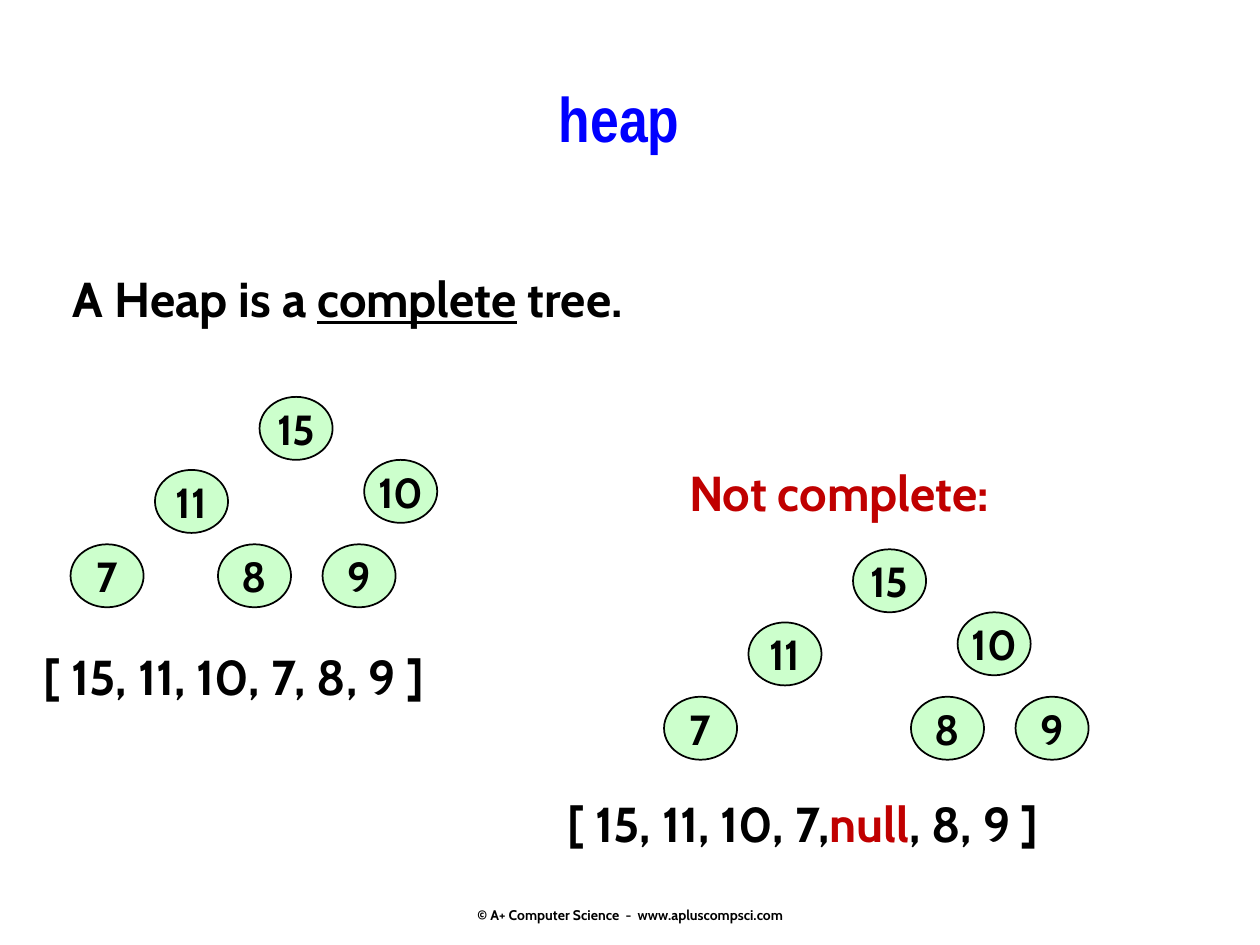
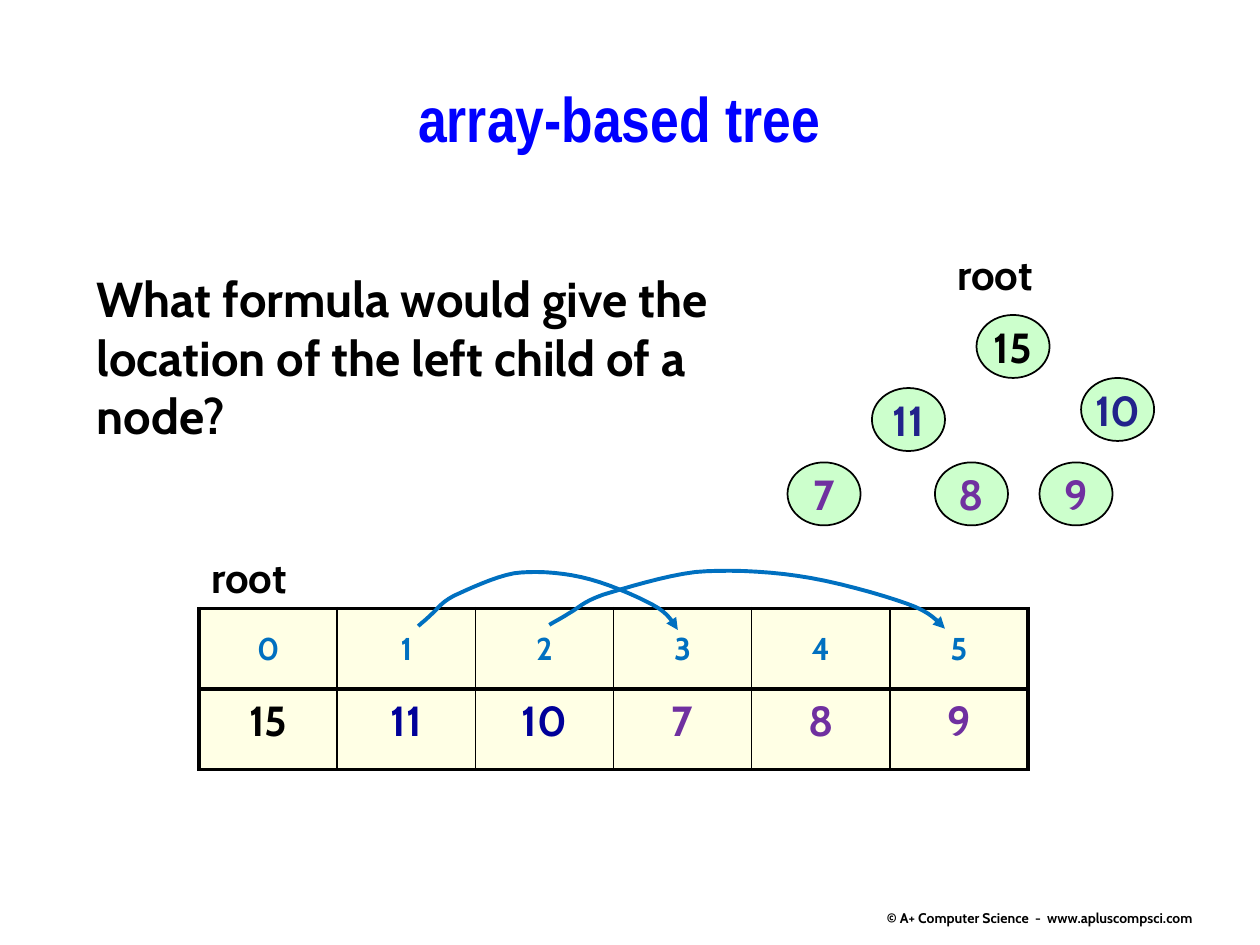
from lxml.etree import SubElement
from pptx import Presentation
from pptx.dml.color import RGBColor
from pptx.enum.shapes import MSO_SHAPE
from pptx.enum.text import MSO_ANCHOR, PP_ALIGN
from pptx.oxml import parse_xml
from pptx.oxml.ns import nsdecls, qn
from pptx.util import Inches, Pt

BLACK = RGBColor(0x00, 0x00, 0x00)
TITLE_BLUE = RGBColor(0x00, 0x00, 0xFF)
RED = RGBColor(0xC0, 0x00, 0x00)
NODE_GREEN = RGBColor(0xCC, 0xFF, 0xCC)
NODE_NAVY = RGBColor(0x22, 0x22, 0x8B)
CELL_NAVY = RGBColor(0x00, 0x00, 0x99)
PURPLE = RGBColor(0x70, 0x30, 0xA0)
INDEX_BLUE = RGBColor(0x00, 0x70, 0xC0)
CELL_CREAM = RGBColor(0xFF, 0xFF, 0xCC)

TITLE_FONT = "Arial Narrow"
BODY_FONT = "Cabin"
FOOTER = "© A+ Computer Science  -  www.apluscompsci.com"
THICK, THIN = 2.25, 1

LEAF_DROP = 1.17
COMPLETE_TREE = {
    "15": (0, 0),
    "11": (-0.83, 0.58),
    "7": (-1.5, LEAF_DROP),
    "8": (-0.33, LEAF_DROP),
    "10": (0.83, 0.5),
    "9": (0.5, LEAF_DROP),
}
GAPPED_TREE = {**COMPLETE_TREE, "8": (0.46, LEAF_DROP), "9": (1.29, LEAF_DROP)}
LEVEL_COLOURS = {"11": NODE_NAVY, "10": NODE_NAVY, "7": PURPLE, "8": PURPLE, "9": PURPLE}

ARC_WIDTH = 2.06
ARC = [
    (0, 0), (0.02, -0.02), (0.06, -0.05), (0.1, -0.09), (0.15, -0.13),
    (0.17, -0.18), (0.28, -0.24), (0.39, -0.29), (0.6, -0.39), (0.76, -0.42),
    (0.91, -0.44), (1.11, -0.43), (1.29, -0.39), (1.48, -0.35), (1.73, -0.24),
    (1.86, -0.17), (1.99, -0.1), (2.02, -0.03), (ARC_WIDTH, 0.03),
]


def bezier_points(controls, steps=8):
    """Sample a chain of cubic curves, leaving out its starting point."""
    for first in range(0, len(controls) - 1, 3):
        a, b, c, d = controls[first:first + 4]
        for step in range(1, steps + 1):
            t = step / steps
            u = 1 - t
            yield tuple(
                u**3 * a[axis] + 3 * u * u * t * b[axis] + 3 * u * t * t * c[axis] + t**3 * d[axis]
                for axis in (0, 1)
            )


class HeapDeck:
    """Hold the deck's style and the slide being drawn."""

    def __init__(self):
        """Open an empty 10 by 7.5 inch deck."""
        self.deck = Presentation()
        self.deck.slide_width = Inches(10)
        self.deck.slide_height = Inches(7.5)
        self.page = None

    def start_page(self, title, footer_left, footer_top):
        """Add a slide with its title and footer."""
        self.page = self.deck.slides.add_slide(self.deck.slide_layouts[6])
        self.text([(title, TITLE_BLUE)], 1.5, 0.58, 6.83, 0.92, 36, TITLE_FONT, PP_ALIGN.CENTER)
        footer = self.text([(FOOTER, BLACK)], footer_left, footer_top, 3.17, 0.5, 8,
                           align=PP_ALIGN.CENTER)
        footer.text_frame.vertical_anchor = MSO_ANCHOR.BOTTOM
        footer.text_frame.margin_bottom = 0

    def style(self, span, size, colour, font=BODY_FONT):
        """Apply the bold lettering used everywhere."""
        span.font.name = font
        span.font.size = Pt(size)
        span.font.bold = True
        span.font.color.rgb = colour

    def text(self, spans, left, top, width, height, size=28, font=BODY_FONT,
             align=PP_ALIGN.LEFT, underlined=None):
        """Add a one-paragraph text box made of (wording, colour) spans."""
        box = self.page.shapes.add_textbox(
            Inches(left), Inches(top), Inches(width), Inches(height))
        box.text_frame.word_wrap = True
        para = box.text_frame.paragraphs[0]
        para.alignment = align
        for wording, colour in spans:
            span = para.add_run()
            span.text = wording
            self.style(span, size, colour, font)
            if wording == underlined:
                span.font.underline = True
        return box

    def tree(self, nodes, left, top, colours=None):
        """Draw grouped nodes, offset from the root's corner."""
        group = self.page.shapes.add_group_shape()
        for value, (across, down) in nodes.items():
            node = group.shapes.add_shape(
                MSO_SHAPE.OVAL, Inches(left + across), Inches(top + down),
                Inches(0.58), Inches(0.5))
            node.shadow.inherit = False
            node.fill.solid()
            node.fill.fore_color.rgb = NODE_GREEN
            node.line.color.rgb = BLACK
            node.line.width = Pt(1)
            frame = node.text_frame
            frame.text = value
            frame.word_wrap = False
            frame.vertical_anchor = MSO_ANCHOR.MIDDLE
            frame.paragraphs[0].alignment = PP_ALIGN.CENTER
            self.style(frame.paragraphs[0].runs[0], 24, (colours or {}).get(value, BLACK))

    def cell_borders(self, cell, widths):
        """Set black borders in the order left, right, top, bottom."""
        properties = cell._tc.get_or_add_tcPr()
        for position, (side, width) in enumerate(zip("LRTB", widths)):
            properties.insert(position, parse_xml(
                f'<a:ln{side} {nsdecls("a")} w="{Pt(width)}"><a:solidFill>'
                f'<a:srgbClr val="{BLACK}"/></a:solidFill></a:ln{side}>'))

    def array_table(self, rows, left, top, width, height):
        """Add the index row and value row of the array."""
        columns = len(rows[0])
        table = self.page.shapes.add_table(
            len(rows), columns, Inches(left), Inches(top), Inches(width), Inches(height)).table
        table.first_row = table.horz_banding = False
        for row_number, row in enumerate(rows):
            for column, (value, colour) in enumerate(row):
                cell = table.cell(row_number, column)
                cell.text = value
                cell.vertical_anchor = MSO_ANCHOR.TOP if row_number else MSO_ANCHOR.MIDDLE
                para = cell.text_frame.paragraphs[0]
                para.alignment = PP_ALIGN.CENTER
                self.style(para.runs[0], 24 if row_number else 18, colour)
                cell.fill.solid()
                cell.fill.fore_color.rgb = CELL_CREAM
                tint = cell._tc.tcPr.find(".//" + qn("a:srgbClr"))
                SubElement(tint, qn("a:alpha"), val="50000")
                self.cell_borders(cell, (
                    THICK if column == 0 else THIN,
                    THICK if column == columns - 1 else THIN,
                    THICK, THICK))

    def arc_arrow(self, left, top, width):
        """Draw the child arrow, stretched to the given width."""
        stretch = width / ARC_WIDTH
        builder = self.page.shapes.build_freeform(Inches(left), Inches(top))
        builder.add_line_segments(
            [(Inches(left + x * stretch), Inches(top + y)) for x, y in bezier_points(ARC)],
            close=False)
        arrow = builder.convert_to_shape()
        arrow.shadow.inherit = False
        arrow.fill.background()
        arrow.line.color.rgb = INDEX_BLUE
        arrow.line.width = Pt(2.25)
        SubElement(arrow.line._get_or_add_ln(), qn("a:tailEnd"), type="triangle")


def complete_tree_page(heap):
    """Compare a complete tree with one that has a gap."""
    heap.start_page("heap", 3.42, 6.83)
    heap.text([("A Heap is a ", BLACK), ("complete", BLACK), (" tree.", BLACK)],
              0.48, 2.08, 5.31, 0.57, underlined="complete")
    heap.tree(COMPLETE_TREE, 2.06, 3.15)
    heap.text([("[ 15, 11, 10, 7, 8, 9 ]", BLACK)], 0.25, 5.08, 4.24, 0.57)
    heap.text([("Not complete:", RED)], 5.37, 3.62, 2.99, 0.57)
    heap.tree(GAPPED_TREE, 6.77, 4.36)
    heap.text([("[ 15, 11, 10, 7,", BLACK), ("null", RED), (", 8, 9 ]", BLACK)],
              4.41, 6.25, 5.1, 0.57)


def array_page(heap):
    """Show how tree nodes map to array locations."""
    heap.start_page("array-based tree", 6.67, 6.85)
    heap.text([("What formula would give the location of the left child of a node?", BLACK)],
              0.67, 2.08, 5.08, 1.51)
    heap.tree(COMPLETE_TREE, 7.75, 2.5, LEVEL_COLOURS)
    for left, top in ((7.5, 1.92), (1.58, 4.33)):
        heap.text([("root", BLACK)], left, top, 1.5, 0.5, 24)
    indexes = [(str(index), INDEX_BLUE) for index in range(6)]
    values = list(zip(("15", "11", "10", "7", "8", "9"),
                      [BLACK] + [CELL_NAVY] * 2 + [PURPLE] * 3))
    heap.array_table([indexes, values], 1.58, 4.83, 6.58, 1.28)
    heap.arc_arrow(3.32, 4.97, ARC_WIDTH)
    heap.arc_arrow(4.36, 4.96, 3.14)


def main():
    """Build and save the deck."""
    heap = HeapDeck()
    complete_tree_page(heap)
    array_page(heap)
    heap.deck.save("out.pptx")


if __name__ == "__main__":
    main()
